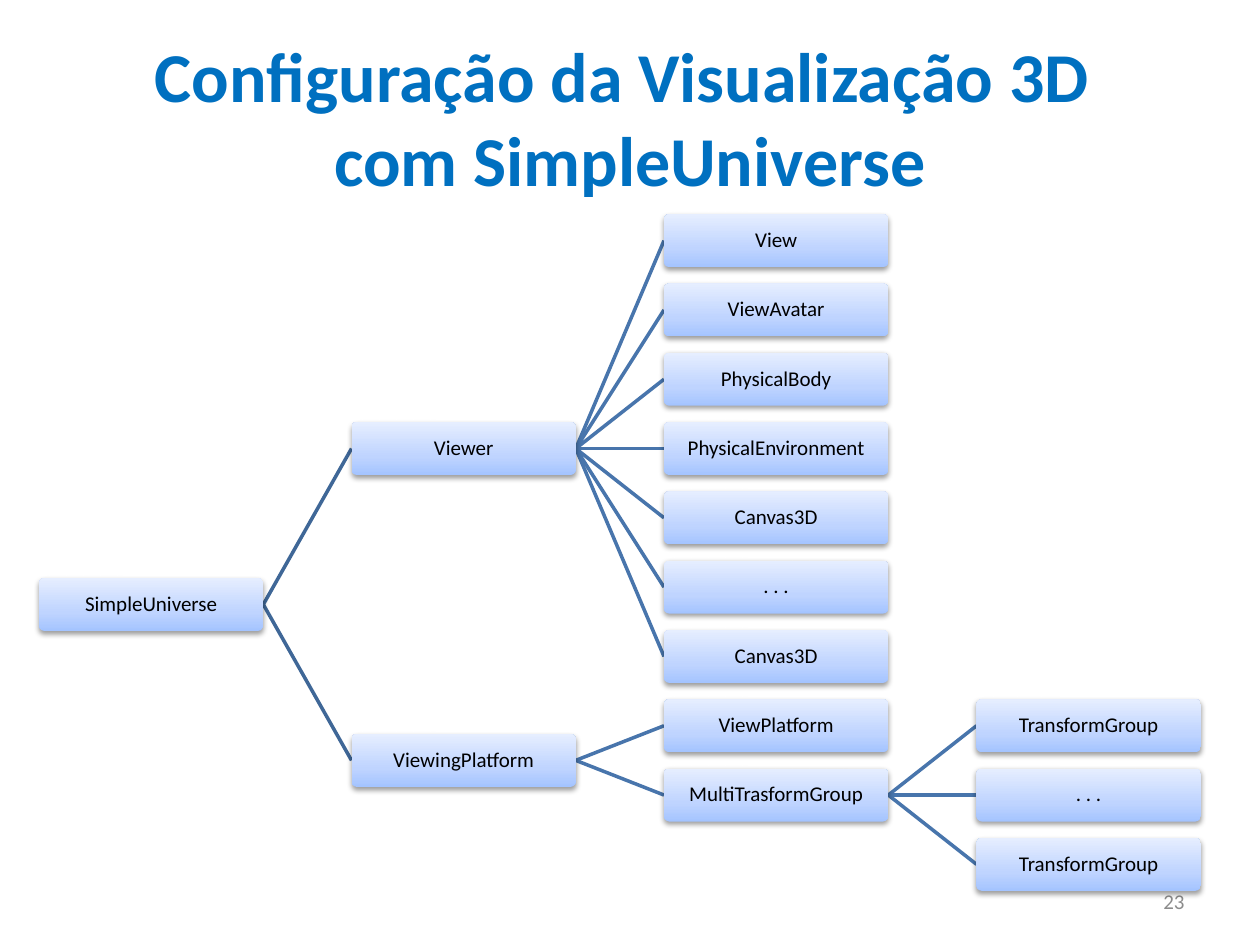
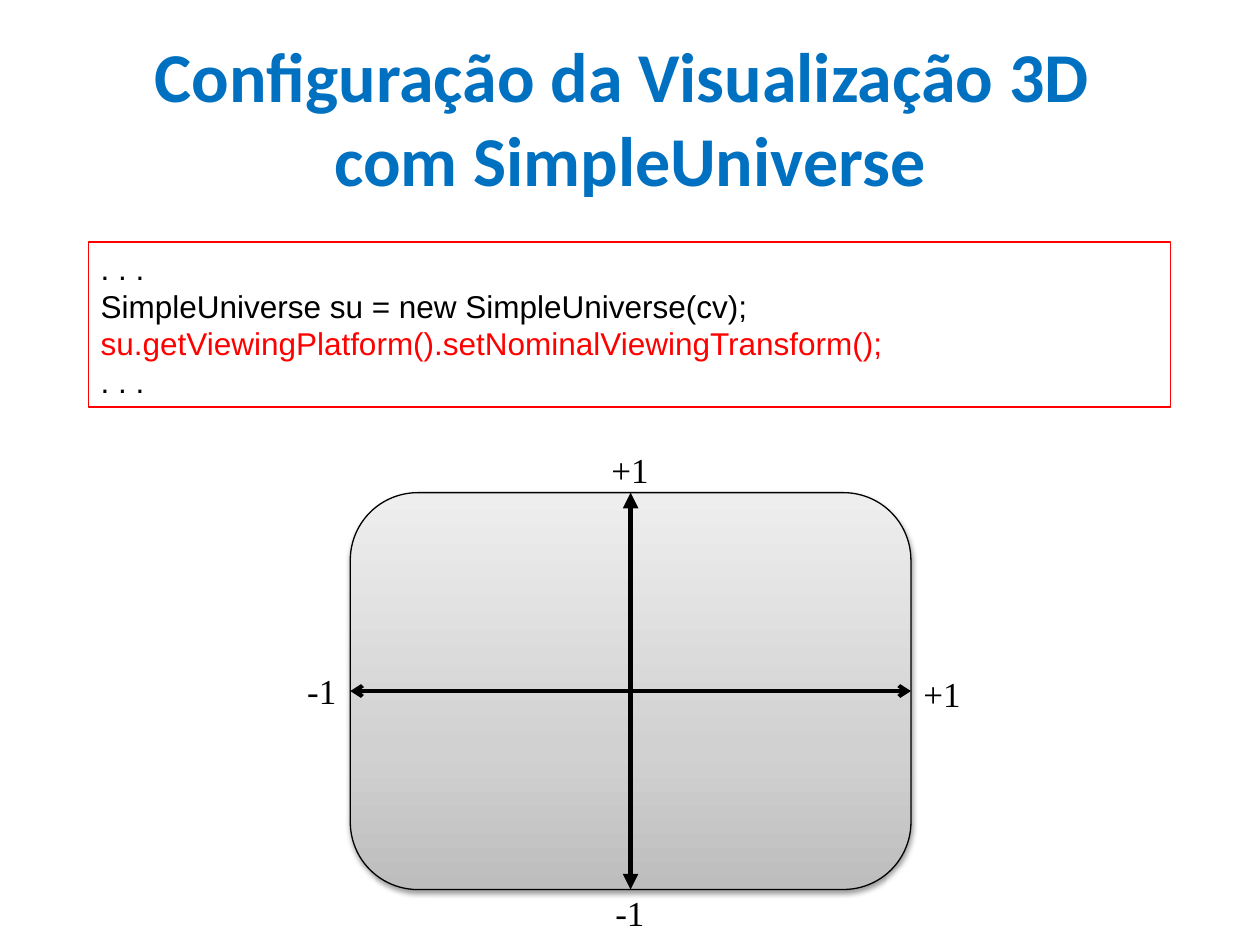
from copy import deepcopy

from lxml import etree
from pptx import Presentation
from pptx.dml.color import RGBColor
from pptx.enum import shapes as es, text as et
from pptx.oxml import ns
from pptx.util import Inches, Pt

BLACK, RED, BLUE, GREY = "000000", "FF0000", "0070C0", "8C8C8C"
ICE = ((0, "A4C4FF"), (0.35, "BFD4FF"), (1, "E6EEFF"))
SILVER = ((0, "BDBDBD"), (0.35, "D1D1D1"), (1, "EEEEEE"))
EDGES = ("3F6797", "4875AC", "4875AC")
HEAD = "Configuração da Visualização 3D \vcom SimpleUniverse"
LEFT, MID, RIGHT = et.PP_ALIGN.LEFT, et.PP_ALIGN.CENTER, et.PP_ALIGN.RIGHT

# Tree: name, row gap between children, children
TREE = ("SimpleUniverse", 4.5, [
    ("Viewer", 1, [(name, 1, []) for name in (
        "View", "ViewAvatar", "PhysicalBody", "PhysicalEnvironment",
        "Canvas3D", ". . .", "Canvas3D")]),
    ("ViewingPlatform", 1, [
        ("ViewPlatform", 1, []),
        ("MultiTrasformGroup", 1, [(name, 1, []) for name in (
            "TransformGroup", ". . .", "TransformGroup")]),
    ]),
])
CODE = ((". . .", BLACK),
        ("SimpleUniverse su = new SimpleUniverse(cv);", BLACK),
        ("su.getViewingPlatform().setNominalViewingTransform();", RED),
        (". . .", BLACK))


# Shared helpers
def rgb(code):
    return RGBColor.from_string(code)


def put(obj, **vals):
    for key, val in vals.items():
        setattr(obj, key, val)


def box(at):
    return [Inches(v) for v in at]


def add(parent, tag, **vals):
    return etree.SubElement(parent, ns.qn(tag), vals)


def write(shape, lines, size, font, align=LEFT, inset=None, wrap=True,
          bold=False, anchor=et.MSO_ANCHOR.MIDDLE, **form):
    """Fill a shape with (text, colour) lines."""
    frame = shape.text_frame
    put(frame, word_wrap=wrap, vertical_anchor=anchor)
    if inset is not None:
        for side in ("left", "right", "top", "bottom"):
            setattr(frame, "margin_" + side, Inches(inset))
    for i, (line, color) in enumerate(lines):
        par = frame.add_paragraph() if i else frame.paragraphs[0]
        par.text = line
        put(par, alignment=align, **form)
        for run in par.runs:
            put(run.font, size=Pt(size), name=font, bold=bold)
            run.font.color.rgb = rgb(color)


def panel(slide, at, stops, round_by, edge=None):
    """Rounded box with a vertical gradient and a soft shadow."""
    shape = slide.shapes.add_shape(es.MSO_SHAPE.ROUNDED_RECTANGLE, *box(at))
    shape.adjustments[0] = round_by
    if edge:
        shape.line.color.rgb = rgb(edge)
        shape.line.width = Pt(0.75)
    else:
        shape.line.fill.background()
    shape.fill.gradient()
    shape.fill.gradient_angle = 90
    props = shape.element.spPr
    group = props.find(".//" + ns.qn("a:gsLst"))
    group.append(deepcopy(group[0]))
    for stop, (pos, color) in zip(shape.fill.gradient_stops, stops):
        stop.position = pos
        stop.color.rgb = rgb(color)
    shape.shadow.inherit = False
    glow = add(props.find(ns.qn("a:effectLst")), "a:outerShdw", blurRad="40000",
               dist="20000", dir="5400000", rotWithShape="0")
    add(add(glow, "a:srgbClr", val=BLACK), "a:alpha", val="38000")
    return shape


def link(slide, start, end, color, width, tip=None):
    """Straight line, with the same arrow tip at both ends if given."""
    line = slide.shapes.add_connector(
        es.MSO_CONNECTOR.STRAIGHT, *box(start), *box(end))
    line.line.color.rgb = rgb(color)
    line.line.width = Pt(width)
    props = line.element.spPr
    if tip:
        for tag in ("a:headEnd", "a:tailEnd"):
            add(props.find(ns.qn("a:ln")), tag, type=tip)
    add(props, "a:effectLst")


def label(slide, at, words, size, font, color=BLACK, **form):
    area = slide.shapes.add_textbox(*box(at))
    write(area, [(words, color)], size, font, **form)


def start(prs):
    """New slide with the common title."""
    slide = prs.slides.add_slide(prs.slide_layouts[5])
    title = slide.shapes.title
    put(title, **dict(zip(("left", "top", "width", "height"),
                          box((0.5, 0.3, 9, 1.25)))))
    write(title, [(HEAD, BLUE)], 40, "Calibri", MID, bold=True)
    return slide


# Tree of boxes, children centred on their parent
def branch(slide, area, node, row, level=0):
    left, top, wide, high = area
    step, pitch = 2.48, 0.55
    name, gap, kids = node
    x, y = left + level * step, top + row * pitch
    for i, kid in enumerate(kids):
        spot = row + (i - (len(kids) - 1) / 2) * gap
        link(slide, (x + wide, y + high / 2),
             (x + step, top + spot * pitch + high / 2), EDGES[level], 2)
        branch(slide, area, kid, spot, level + 1)
    card = panel(slide, (x, y, wide, high), ICE, 0.1)
    write(card, [(name, BLACK)], 12, "Calibri", MID, 0.02, line_spacing=0.9)


# Framed code listing
def listing(slide, at):
    frame = slide.shapes.add_shape(es.MSO_SHAPE.RECTANGLE, *box(at))
    frame.fill.background()
    frame.line.color.rgb = rgb(RED)
    frame.line.width = Pt(0.75)
    frame.shadow.inherit = False
    write(frame, CODE, 18, "Arial")


# Screen with its two axes and their limits
def screen(slide, at):
    left, top, wide, high = at
    right, foot = left + wide, top + high
    cx, cy = left + wide / 2, top + high / 2
    panel(slide, at, SILVER, 0.17, BLACK)
    link(slide, (left, cy), (right, cy), BLACK, 2.25, "arrow")
    link(slide, (cx, top), (cx, foot), BLACK, 3, "triangle")
    for x, y, wide, mark in ((left - 0.44, cy - 0.22, 0.44, "-1"),
                             (right, cy - 0.2, 0.5, "+1"),
                             (cx - 0.22, foot - 0.03, 0.44, "-1"),
                             (cx - 0.25, top - 0.4, 0.5, "+1")):
        label(slide, (x, y, wide, 0.44), mark, 20, "Times New Roman",
              wrap=False, anchor=et.MSO_ANCHOR.TOP)


def main():
    prs = Presentation()
    put(prs, slide_width=Inches(10), slide_height=Inches(7.5))
    slide = start(prs)
    label(slide, (7.17, 6.95, 2.33, 0.4), "23", 12, "Calibri", GREY,
          align=RIGHT)
    branch(slide, (0.31, 1.7, 1.78, 0.42), TREE, 5.25)
    slide = start(prs)
    listing(slide, (0.7, 1.92, 8.59, 1.31))
    screen(slide, (2.78, 3.91, 4.45, 3.15))
    prs.save("out.pptx")


if __name__ == "__main__":
    main()
